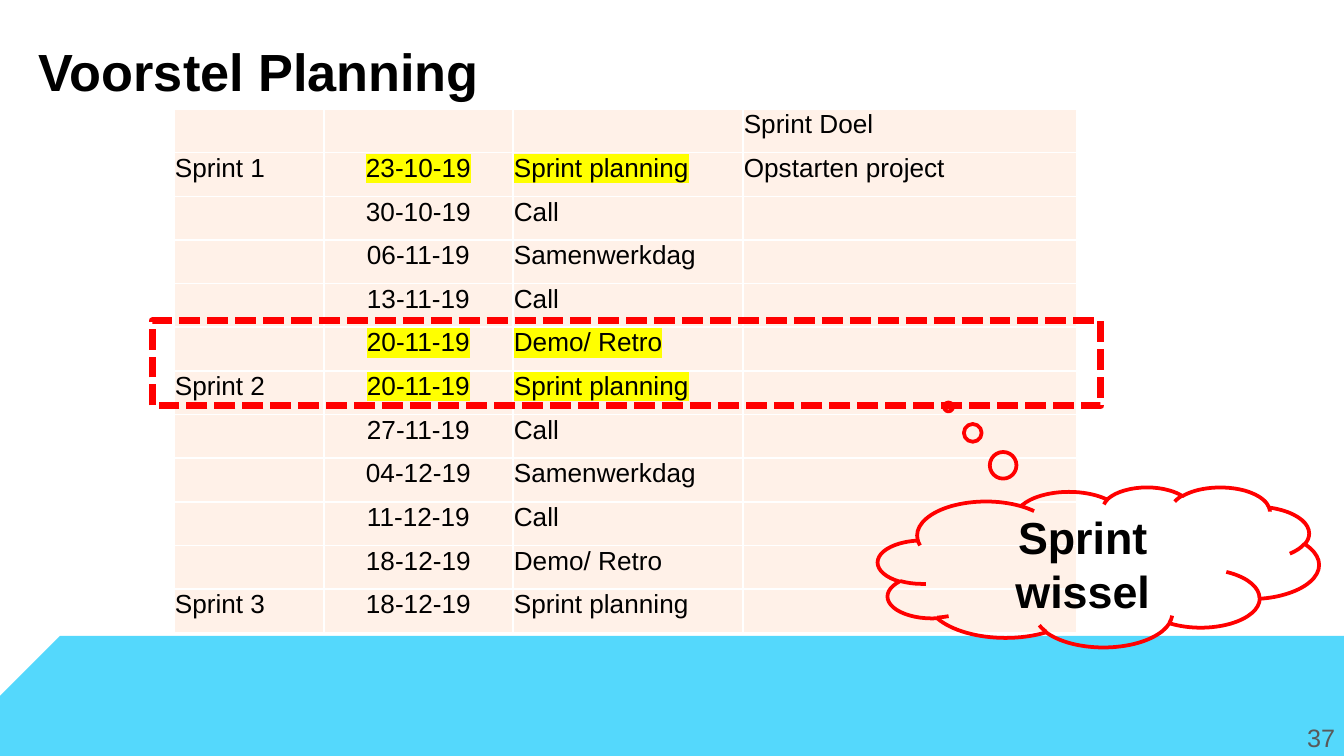
import pptx
import pptx.util
from lxml import etree
from pptx.dml.color import RGBColor
from pptx.enum.dml import MSO_LINE
from pptx.enum.shapes import MSO_SHAPE
from pptx.enum.text import MSO_ANCHOR, PP_ALIGN
from pptx.oxml.ns import qn

# Content
TITLE = "Voorstel Planning"
PAGE = "37"
CALLOUT = "Sprint wissel"
# sprint, date, activity, goal, highlighted
ROWS = [
    ("", "", "", "Sprint Doel", False),
    ("Sprint 1", "23-10-19", "Sprint planning", "Opstarten project", True),
    ("", "30-10-19", "Call", "", False),
    ("", "06-11-19", "Samenwerkdag", "", False),
    ("", "13-11-19", "Call", "", False),
    ("", "20-11-19", "Demo/ Retro", "", True),
    ("Sprint 2", "20-11-19", "Sprint planning", "", True),
    ("", "27-11-19", "Call", "", False),
    ("", "04-12-19", "Samenwerkdag", "", False),
    ("", "11-12-19", "Call", "", False),
    ("", "18-12-19", "Demo/ Retro", "", False),
    ("Sprint 3", "18-12-19", "Sprint planning", "", False),
]

# Layout in px
COLORS = {"band": "54D8FC", "cell": "FFF1E8", "border": "FFFFFF", "accent": "FF0000",
          "mark": "FFFF00", "text": "000000", "page": "595959"}
COLS = [150, 189, 230, 334]
TABLE_LEFT, TABLE_TOP, TABLE_H = 174, 109, 524
DATE, ACTIVITY = 1, 2
PAD = 13


def px(n):
    return pptx.util.Emu(round(n * 914400 / 134.4))


def rgb(name):
    return RGBColor.from_string(COLORS[name])


def style(p, size, color="text", bold=False, align=PP_ALIGN.LEFT):
    p.alignment = align
    for r in p.runs:
        r.font.name = "Arial"
        r.font.size = pptx.util.Pt(size)
        r.font.bold = bold
        r.font.color.rgb = rgb(color)


def set_insets(box, left, top, right, bottom):
    box.margin_left, box.margin_top = px(left), px(top)
    box.margin_right, box.margin_bottom = px(right), px(bottom)


def highlight(r):
    mark = etree.Element(qn("a:highlight"))
    etree.SubElement(mark, qn("a:srgbClr"), val=COLORS["mark"])
    r.font.fill._xPr.find(qn("a:solidFill")).addnext(mark)


def add_borders(cell):
    tcPr = cell._tc.get_or_add_tcPr()
    for side in "LRTB":
        ln = etree.SubElement(tcPr, qn("a:ln" + side), w=str(pptx.util.Pt(1)))
        fill = etree.SubElement(ln, qn("a:solidFill"))
        etree.SubElement(fill, qn("a:srgbClr"), val=COLORS["border"])


def add_shape(s, kind, box, fill=None, line=None, width=0):
    sp = s.shapes.add_shape(kind, *map(px, box))
    sp.shadow.inherit = False
    if fill:
        sp.fill.solid()
        sp.fill.fore_color.rgb = rgb(fill)
    else:
        sp.fill.background()
    if line:
        sp.line.color.rgb = rgb(line)
        sp.line.width = pptx.util.Pt(width)
    else:
        sp.line.fill.background()
    return sp


def add_planning(s):
    frame = s.shapes.add_table(len(ROWS), len(COLS), px(TABLE_LEFT), px(TABLE_TOP),
                               px(sum(COLS)), px(TABLE_H))
    table = frame.table
    table.first_row = table.horz_banding = False
    for col, width in zip(table.columns, COLS):
        col.width = px(width)
    for i, (*texts, marked) in enumerate(ROWS):
        table.rows[i].height = px(TABLE_H / len(ROWS))
        for j, text in enumerate(texts):
            cell = table.cell(i, j)
            add_borders(cell)
            cell.fill.solid()
            cell.fill.fore_color.rgb = rgb("cell")
            set_insets(cell, 1, 1, 1, 0)
            if not text:
                continue
            cell.text_frame.text = text
            p = cell.text_frame.paragraphs[0]
            style(p, 14, align=PP_ALIGN.CENTER if j == DATE else PP_ALIGN.LEFT)
            if marked and j in (DATE, ACTIVITY):
                highlight(p.runs[0])


def main():
    prs = pptx.Presentation()
    prs.slide_width, prs.slide_height = px(1344), px(756)
    s = prs.slides.add_slide(prs.slide_layouts[5])

    # Bottom band, snipped at the left
    band = add_shape(s, MSO_SHAPE.SNIP_1_RECTANGLE, (0, 636, 1344, 120), fill="band")
    band.adjustments[0] = 0.5
    band._element.spPr.find(qn("a:xfrm")).set("flipH", "1")

    # Page number
    sp = s.shapes.add_textbox(px(1267), px(708), px(81), px(58))
    tf = sp.text_frame
    tf.word_wrap = True
    tf.vertical_anchor = MSO_ANCHOR.MIDDLE
    set_insets(tf, PAD, PAD, PAD, PAD)
    tf.text = PAGE
    style(tf.paragraphs[0], 13.5, "page", align=PP_ALIGN.RIGHT)

    # Title
    title = s.shapes.title
    title.left, title.top, title.width, title.height = map(px, (26, 26, 1253, 85))
    tf = title.text_frame
    tf.vertical_anchor = MSO_ANCHOR.TOP
    set_insets(tf, PAD, PAD, PAD, PAD)
    tf.text = TITLE
    style(tf.paragraphs[0], 28, bold=True)

    add_planning(s)

    # Dashed frame around the sprint change
    frame = add_shape(s, MSO_SHAPE.RECTANGLE, (152, 321, 949, 85), line="accent", width=3.75)
    frame.line.dash_style = MSO_LINE.SQUARE_DOT

    # Thought cloud
    cloud = add_shape(s, MSO_SHAPE.CLOUD_CALLOUT, (878, 487, 441, 160), line="accent", width=2)
    cloud.adjustments[0], cloud.adjustments[1] = -0.34, -1
    tf = cloud.text_frame
    tf.word_wrap = True
    tf.vertical_anchor = MSO_ANCHOR.MIDDLE
    tf.text = CALLOUT
    style(tf.paragraphs[0], 24, bold=True, align=PP_ALIGN.CENTER)

    prs.save("out.pptx")


if __name__ == "__main__":
    main()
